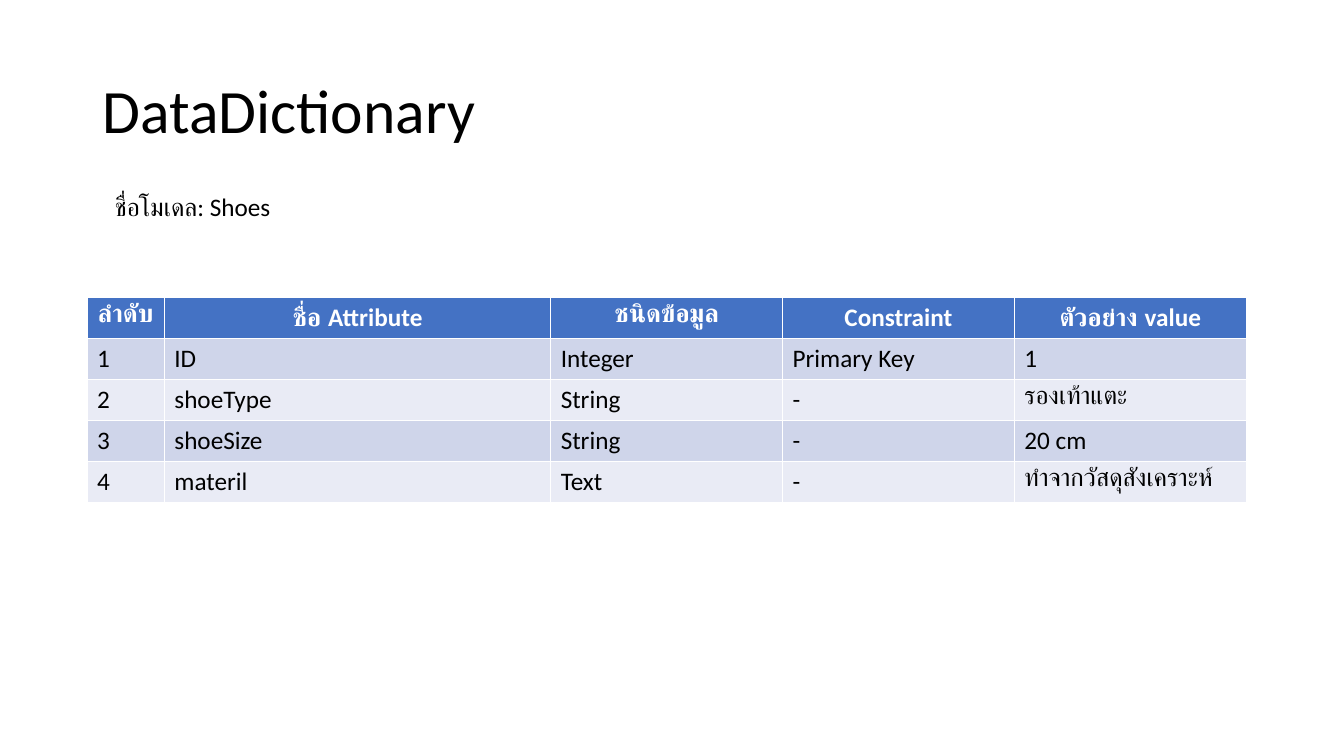
from pptx import Presentation
from pptx.dml.color import RGBColor
from pptx.enum.text import MSO_ANCHOR, MSO_AUTO_SIZE, PP_ALIGN
from pptx.util import Pt

BLACK = RGBColor(0x00, 0x00, 0x00)
WHITE = RGBColor(0xFF, 0xFF, 0xFF)
BLUE = RGBColor(0x44, 0x72, 0xC4)
BANDS = [RGBColor(0xE9, 0xEB, 0xF5), RGBColor(0xCF, 0xD5, 0xEA)]
WIDTHS = [55.2, 276, 165.6, 165.6, 165.6]
ROW_HEIGHT = 29.2
ROWS = [
    ["ลำดับ", "ชื่อ Attribute", "ชนิดข้อมูล", "Constraint", "ตัวอย่าง value"],
    ["1", "ID", "Integer", "Primary Key", "1"],
    ["2", "shoeType", "String", "-", "รองเท้าแตะ"],
    ["3", "shoeSize", "String", "-", "20 cm"],
    ["4", "materil", "Text", "-", "ทำจากวัสดุสังเคราะห์"],
]


def write(frame, text, size=18, color=BLACK, bold=False, align=PP_ALIGN.LEFT):
    """Put one formatted paragraph in a text frame."""
    line = frame.paragraphs[0]
    line.alignment = align
    run = line.add_run()
    run.text = text
    run.font.color.rgb = color
    form = {"name": "Calibri", "size": Pt(size), "bold": bold}
    for key, value in form.items():
        setattr(run.font, key, value)


def add_title(slide, text):
    """Place and fill the title placeholder."""
    title = slide.shapes.title
    place = {"left": 66, "top": 28.75, "width": 828, "height": 104.4}
    for key, value in place.items():
        setattr(title, key, Pt(value))
    frame = title.text_frame
    frame.vertical_anchor = MSO_ANCHOR.MIDDLE
    write(frame, text, 44)
    frame.paragraphs[0].line_spacing = 0.9


def add_label(slide, text):
    """Add the model name above the table."""
    box = slide.shapes.add_textbox(Pt(75), Pt(133.2), Pt(294.5), Pt(29.1))
    frame = box.text_frame
    frame.word_wrap = True
    frame.auto_size = MSO_AUTO_SIZE.SHAPE_TO_FIT_TEXT
    write(frame, text)


def add_grid(slide, rows):
    """Add the attribute table with a header and banded rows."""
    frame = slide.shapes.add_table(
        len(rows), len(WIDTHS), Pt(62.2), Pt(212.7),
        Pt(sum(WIDTHS)), Pt(ROW_HEIGHT * len(rows)))
    table = frame.table
    for column, width in zip(table.columns, WIDTHS):
        column.width = Pt(width)
    head = {"color": WHITE, "bold": True, "align": PP_ALIGN.CENTER}
    for i, row in enumerate(rows):
        table.rows[i].height = Pt(ROW_HEIGHT)
        for j, text in enumerate(row):
            cell = table.cell(i, j)
            cell.fill.solid()
            cell.fill.fore_color.rgb = BANDS[i % 2] if i else BLUE
            write(cell.text_frame, text, **({} if i else head))


def main():
    """Build and save the slide."""
    deck = Presentation()
    deck.slide_width, deck.slide_height = Pt(960), Pt(540)
    slide = deck.slides.add_slide(deck.slide_layouts[5])
    add_title(slide, "DataDictionary")
    add_grid(slide, ROWS)
    add_label(slide, "ชื่อโมเดล: Shoes")
    deck.save("out.pptx")


if __name__ == "__main__":
    main()
